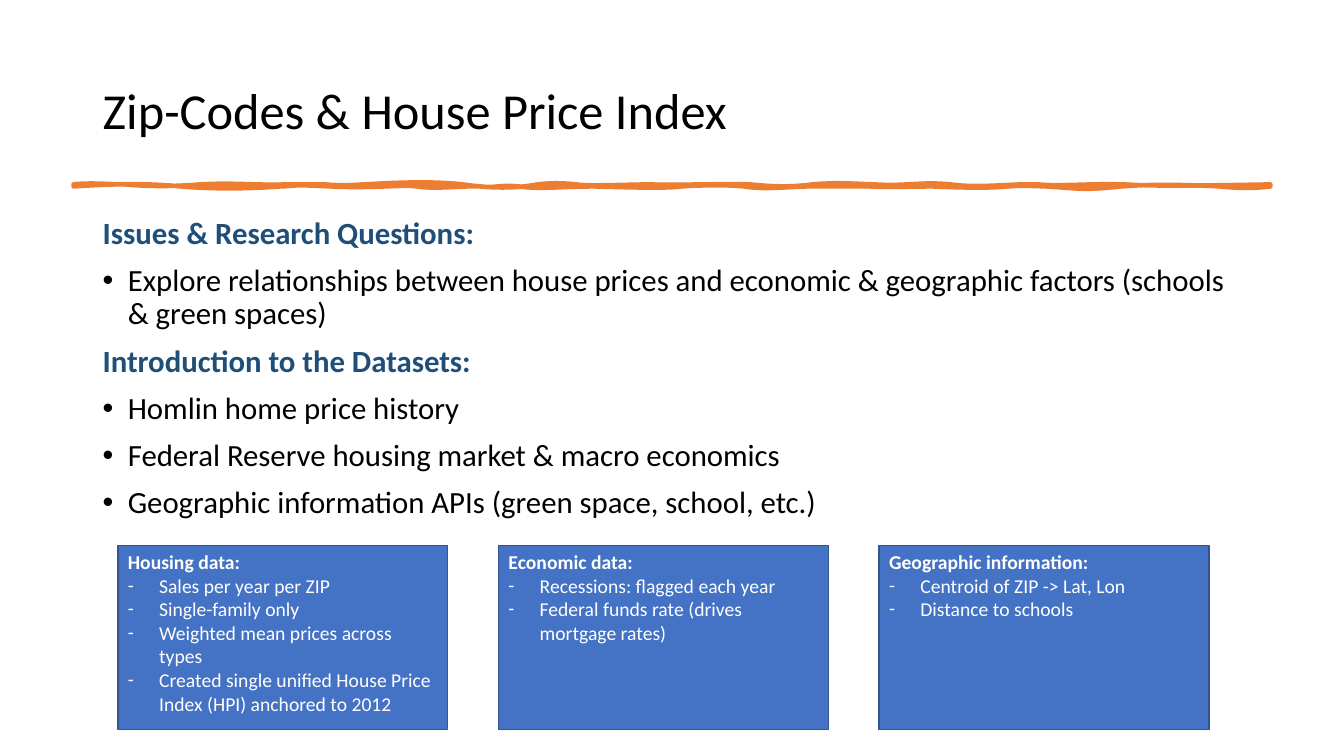
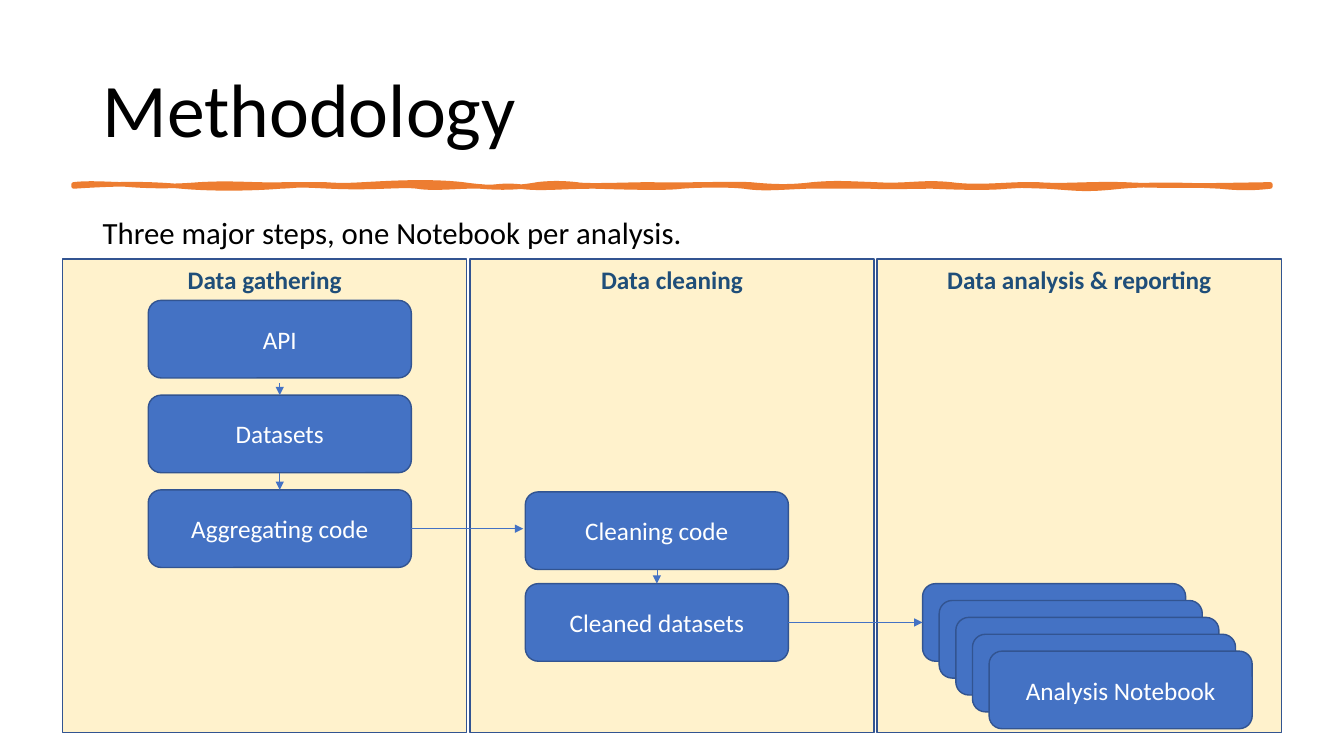
from collections import namedtuple

from lxml import etree
from pptx import Presentation
from pptx.dml.color import RGBColor
from pptx.enum.shapes import MSO_CONNECTOR, MSO_SHAPE
from pptx.enum.text import MSO_ANCHOR, PP_ALIGN
from pptx.oxml.ns import qn
from pptx.util import Inches, Pt

RECTANGLE, ROUNDED = MSO_SHAPE.RECTANGLE, MSO_SHAPE.ROUNDED_RECTANGLE
STRAIGHT = MSO_CONNECTOR.STRAIGHT
TOP, MIDDLE = MSO_ANCHOR.TOP, MSO_ANCHOR.MIDDLE
LEFT, CENTER = PP_ALIGN.LEFT, PP_ALIGN.CENTER

FONT = "Calibri"
COLORS = {
    "text": "000000",
    "heading": "1F4E79",
    "rule": "ED7D31",
    "box": "4472C4",
    "border": "325491",
    "panel": "FFF2CC",
    "light": "FFFFFF",
}

Box = namedtuple("Box", "left top width height")
Wave = namedtuple("Wave", "first_x first_rise second_x second_rise end_x")
TITLE_BOX = Box(0.92, 0.4, 11.5, 1.45)
BODY_BOX = Box(0.92, 2.11, 11.5, 4.65)
RULE_BOX = Box(0.73, 1.83, 11.87, 0.02)
CARDS_BOX = Box(1.17, 5.41, 10.82, 1.83)
PANELS_BOX = Box(0.62, 2.57, 12.09, 4.7)
STEP_WIDTH, STEP_HEIGHT = 2.61, 0.77

UPPER_WAVES = [
    (0.89, -0.02, 1.11, 0, 1.24), (1.36, 0.01, 1.62, 0.03, 1.98),
    (2.34, -0.02, 2.51, 0.01, 2.84), (3.17, 0, 3.07, 0, 3.22),
    (3.38, 0.01, 3.42, 0.01, 3.61), (3.8, -0.01, 4.24, -0.04, 4.59),
    (4.94, 0.05, 5.17, 0.03, 5.33), (5.49, -0.02, 5.63, -0.01, 5.72),
    (5.81, 0.02, 6.25, 0, 6.46), (6.67, 0.01, 7.23, -0.01, 7.44),
    (7.65, 0.02, 7.82, 0.03, 8.06), (8.3, -0.02, 8.38, -0.01, 8.68),
    (8.99, 0.02, 9.14, -0.03, 9.43), (9.72, 0.04, 10.02, -0.01, 10.29),
    (10.55, 0.02, 10.78, -0.01, 11.15), (11.51, 0.02, 11.99, 0.01, 12.6),
]
LOWER_WAVES = [
    (12.6, 0, 12.6, 0, 12.6),
    (12.42, 0.02, 12.3, 0.02, 12.1), (11.9, -0.01, 11.49, -0.03, 11.12),
    (10.75, 0.04, 10.7, 0.02, 10.38), (10.05, -0.01, 10.18, -0.01, 9.99),
    (9.8, 0.02, 9.48, 0.01, 9.25), (9.02, 0, 8.84, 0.01, 8.63),
    (8.41, 0, 8.28, 0, 8), (7.73, 0.01, 7.57, 0.03, 7.38),
    (7.19, -0.02, 6.88, -0.01, 6.76), (6.63, 0.02, 6.24, 0.01, 5.9),
    (5.55, 0, 5.37, 0.03, 5.15), (4.94, -0.02, 4.91, 0.02, 4.77),
    (4.63, -0.01, 4.3, 0.03, 4.14), (3.99, -0.02, 3.71, 0.02, 3.28),
    (2.86, -0.02, 3.03, -0.01, 2.78), (2.53, 0.02, 2.13, 0.03, 1.8),
    (1.47, -0.03, 1.18, -0.03, 0.73),
]


def color(name):
    return RGBColor.from_string(COLORS[name])


def lengths(box):
    return [Inches(value) for value in box]


def wave_points(level, waves):
    points = []
    for wave in itertools_free(waves):
        points += [
            (Inches(wave.first_x), Inches(level + wave.first_rise)),
            (Inches(wave.second_x), Inches(level + wave.second_rise)),
            (Inches(wave.end_x), Inches(level)),
        ]
    return points


def itertools_free(waves):
    return [Wave(*values) for values in waves]


def bend_segments(shape):
    segments = list(shape._element.iter(qn("a:lnTo")))
    for first, second, end in zip(segments[::3], segments[1::3], segments[2::3]):
        curve = etree.Element(qn("a:cubicBezTo"))
        first.addprevious(curve)
        for segment in (first, second, end):
            curve.append(segment[0])
            segment.getparent().remove(segment)


def add_bullet(para, mark, indent):
    properties = para._p.get_or_add_pPr()
    properties.set("marL", str(Inches(indent)))
    properties.set("indent", str(-Inches(indent)))
    etree.SubElement(properties, qn("a:buFont")).set("typeface", "Arial" if mark == "•" else FONT)
    etree.SubElement(properties, qn("a:buChar")).set("char", mark)


def write(para, text, size, color_name, bold=False, align=LEFT):
    para.text = text
    para.alignment = align
    for span in para.runs:
        span.font.name = FONT
        span.font.size = Pt(size)
        span.font.bold = bold
        span.font.color.rgb = color(color_name)


def paragraphs(frame, count):
    frame.word_wrap = True
    return [frame.paragraphs[0]] + [frame.add_paragraph() for _ in range(count - 1)]


def add_title(page, box, text, size):
    frame = page.shapes.add_textbox(*lengths(box)).text_frame
    frame.vertical_anchor = MIDDLE
    para = paragraphs(frame, 1)[0]
    write(para, text, size, "text")
    para.line_spacing = 0.9


def add_rule(page, box):
    points = wave_points(box.top, UPPER_WAVES) + wave_points(box.top + box.height, LOWER_WAVES)
    builder = page.shapes.build_freeform(Inches(box.left), Inches(box.top))
    builder.add_line_segments(points, close=True)
    rule = builder.convert_to_shape()
    bend_segments(rule)
    rule.shadow.inherit = False
    rule.fill.solid()
    rule.fill.fore_color.rgb = color("rule")
    rule.line.color.rgb = color("rule")
    rule.line.width = Pt(3.25)


def add_body(page, box, lines):
    frame = page.shapes.add_textbox(*lengths(box)).text_frame
    for para, (style, text) in zip(paragraphs(frame, len(lines)), lines):
        heading = style == "heading"
        write(para, text, 22, "heading" if heading else "text", bold=heading)
        para.line_spacing = 0.9
        para.space_before = Pt(10)
        if style == "bullet":
            add_bullet(para, "•", 0.25)


def add_block(page, box, kind, fill, anchor):
    block = page.shapes.add_shape(kind, *lengths(box))
    block.shadow.inherit = False
    block.fill.solid()
    block.fill.fore_color.rgb = color(fill)
    block.line.color.rgb = color("border")
    block.line.width = Pt(1)
    block.text_frame.vertical_anchor = anchor
    return block


def add_card(page, box, heading, items):
    frame = add_block(page, box, RECTANGLE, "box", TOP).text_frame
    first, *rest = paragraphs(frame, len(items) + 1)
    write(first, heading, 14, "light", bold=True)
    for para, item in zip(rest, items):
        write(para, item, 14, "light")
        add_bullet(para, "-", 0.31)


def add_cards(page, box, cards):
    width = 3.27
    pitch = (box.width - width) / (len(cards) - 1)
    for index, (heading, items) in enumerate(cards):
        add_card(page, Box(box.left + index * pitch, box.top, width, box.height), heading, items)


def add_panels(page, box, headings):
    width = 4.01
    pitch = (box.width - width) / (len(headings) - 1)
    for index, heading in enumerate(headings):
        panel = Box(box.left + index * pitch, box.top, width, box.height)
        frame = add_block(page, panel, RECTANGLE, "panel", TOP).text_frame
        write(paragraphs(frame, 1)[0], heading, 18, "heading", bold=True, align=CENTER)


def add_step(page, left, top, text=""):
    box = Box(left, top, STEP_WIDTH, STEP_HEIGHT)
    frame = add_block(page, box, ROUNDED, "box", MIDDLE).text_frame
    if text:
        write(paragraphs(frame, 1)[0], text, 18, "light", align=CENTER)
    return box


def add_arrow(page, start, end):
    arrow = page.shapes.add_connector(STRAIGHT, *lengths(start + end))
    arrow.line.color.rgb = color("box")
    arrow.line.width = Pt(0.5)
    etree.SubElement(arrow.line._get_or_add_ln(), qn("a:tailEnd")).set("type", "triangle")
    etree.SubElement(arrow._element.spPr, qn("a:effectLst"))


def arrow_down(page, upper, lower, gap=0):
    middle = upper.left + upper.width / 2
    add_arrow(page, (middle, upper.top + upper.height + gap), (middle, lower.top))


def arrow_across(page, source, target, gap=0):
    middle = source.top + source.height / 2
    add_arrow(page, (source.left + source.width, middle), (target.left - gap, middle))


def add_flow(page, box):
    gathering, cleaning, analysis = box.left + 0.85, box.left + 4.59, box.left + 8.53
    api, datasets, aggregating = [
        add_step(page, gathering, box.top + 0.41 + index * 0.94, text)
        for index, text in enumerate(["API", "Datasets", "Aggregating code"])
    ]
    cleaner = add_step(page, cleaning, box.top + 2.31, "Cleaning code")
    cleaned = add_step(page, cleaning, box.top + 3.22, "Cleaned datasets")
    labels = [""] * 4 + ["Analysis Notebook"]
    notebooks = [
        add_step(page, analysis + index * 0.66 / 4, cleaned.top + index * 0.67 / 4, label)
        for index, label in enumerate(labels)
    ]
    arrow_down(page, api, datasets, gap=0.05)
    arrow_down(page, datasets, aggregating)
    arrow_down(page, cleaner, cleaned)
    arrow_across(page, aggregating, cleaner, gap=0.02)
    arrow_across(page, cleaned, notebooks[0])


def add_page(deck, title, title_size, lines):
    page = deck.slides.add_slide(deck.slide_layouts[6])
    add_title(page, TITLE_BOX, title, title_size)
    add_rule(page, RULE_BOX)
    add_body(page, BODY_BOX, lines)
    return page


def build_index_page(deck):
    page = add_page(deck, "Zip-Codes & House Price Index", 36, [
        ("heading", "Issues & Research Questions:"),
        ("bullet", "Explore relationships between house prices and economic & "
                   "geographic factors (schools & green spaces)"),
        ("heading", "Introduction to the Datasets:"),
        ("bullet", "Homlin home price history"),
        ("bullet", "Federal Reserve housing market & macro economics"),
        ("bullet", "Geographic information APIs (green space, school, etc.)"),
    ])
    add_cards(page, CARDS_BOX, [
        ("Housing data:", [
            "Sales per year per ZIP",
            "Single-family only",
            "Weighted mean prices across types",
            "Created single unified House Price Index (HPI) anchored to 2012",
        ]),
        ("Economic data:", [
            "Recessions: flagged each year",
            "Federal funds rate (drives mortgage rates)",
        ]),
        ("Geographic information:", ["Centroid of ZIP -> Lat, Lon", "Distance to schools"]),
    ])


def build_methodology_page(deck):
    page = add_page(deck, "Methodology", 54, [
        ("plain", "Three major steps, one Notebook per analysis."),
    ])
    add_panels(page, PANELS_BOX, ["Data gathering", "Data cleaning", "Data analysis & reporting"])
    add_flow(page, PANELS_BOX)


deck = Presentation()
deck.slide_width, deck.slide_height = Inches(13.33), Inches(7.5)
build_index_page(deck)
build_methodology_page(deck)
deck.save("out.pptx")
